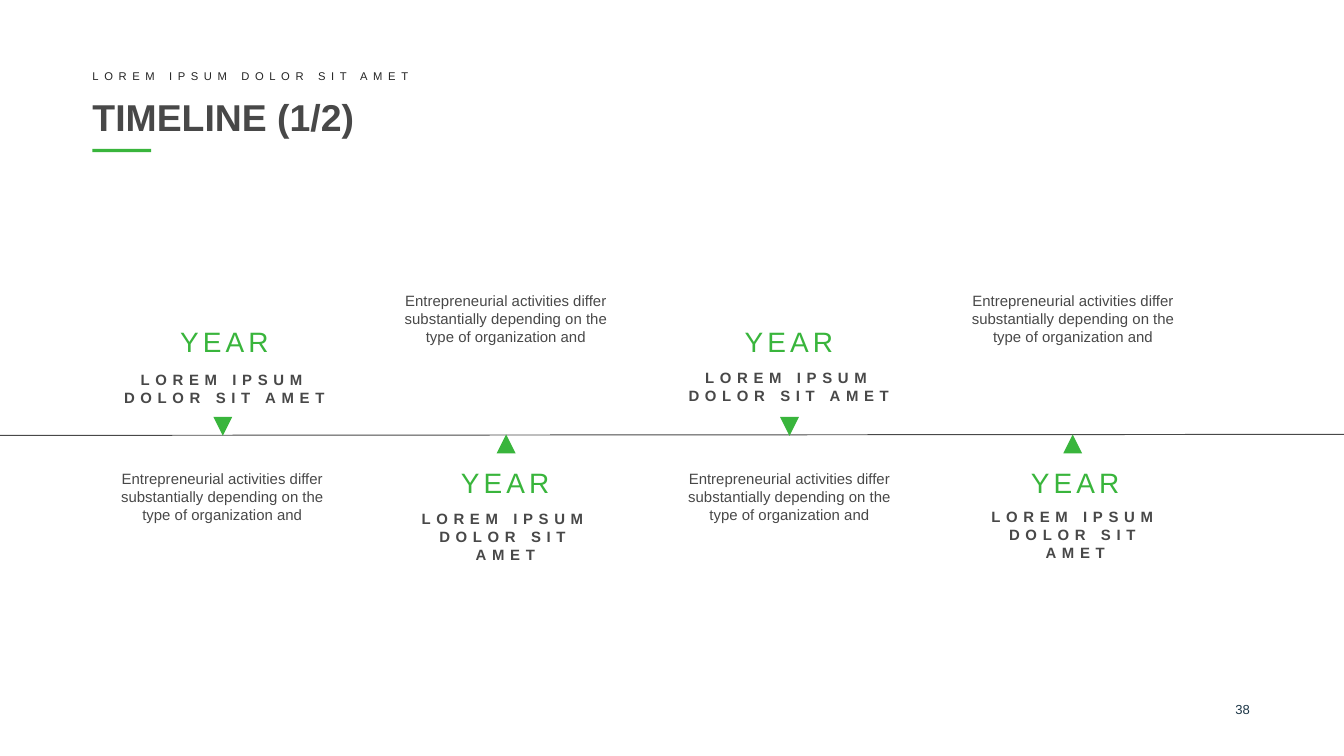
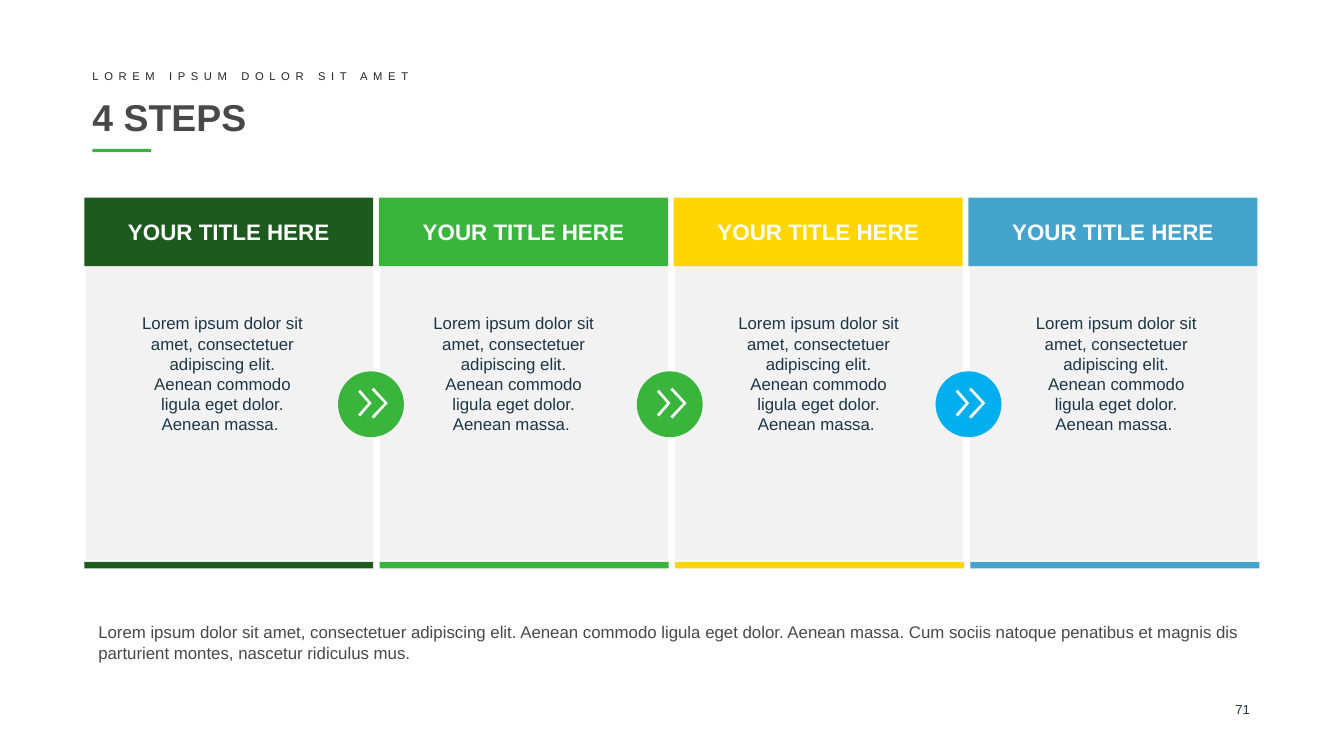
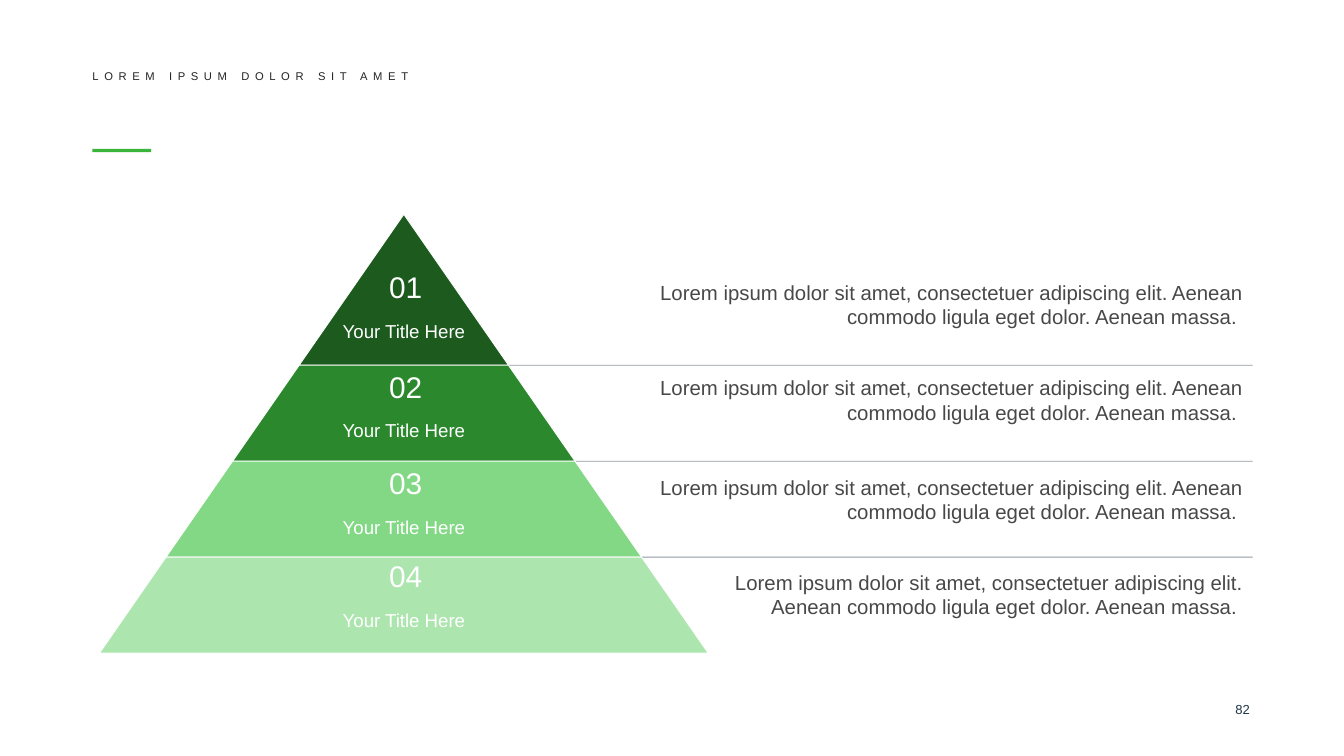
from lxml.etree import SubElement
from pptx import Presentation
from pptx.dml.color import RGBColor
from pptx.enum.shapes import MSO_CONNECTOR as CONN, MSO_SHAPE as SHAPE
from pptx.enum.text import MSO_ANCHOR as ANCHOR, MSO_AUTO_SIZE as AUTO, PP_ALIGN as ALIGN
from pptx.oxml.ns import qn
from pptx.util import Inches, Pt

# Lengths below are cells of a square grid, 100 columns across the slide.
COLUMNS, ROWS = 100, 56.25
CELL = Inches(10) / COLUMNS

FONT = "Arial"
GREY, INK, NAVY, WHITE, PANEL = "484848", "242424", "1D3647", "FFFFFF", "F2F2F2"
GREEN, DARK_GREEN, YELLOW, BLUE, SKY = "39B53C", "1C5A1E", "FFD600", "45A4CC", "01AEEE"
SHADES = [DARK_GREEN, "2B882D", "83D885", "ACE5AE"]

KICKER = "LOREM IPSUM DOLOR SIT AMET"
ACTIVITY = ("Entrepreneurial activities differ substantially depending on the "
            "type of organization and")
LOREM = ("Lorem ipsum dolor sit amet, consectetuer adipiscing elit. "
         "Aenean commodo ligula eget dolor. Aenean massa. ")
CLOSING = (LOREM + "Cum sociis natoque penatibus et magnis dis parturient montes, "
           "nascetur ridiculus mus.")


def rgb(value):
    return RGBColor.from_string(value)


def cells(*values):
    return [round(v * CELL) for v in values]


def write(tf, text, size=8, color=GREY, bold=False, align=ALIGN.LEFT,
          anchor=ANCHOR.TOP, spacing=0, insets=None, wrap=True):
    """Fill a text frame; spacing is in points, insets are (side, edge) in cells."""
    tf.word_wrap = wrap
    tf.auto_size = AUTO.NONE
    tf.vertical_anchor = anchor
    if insets is not None:
        side, edge = cells(*insets)
        tf.margin_left = tf.margin_right = side
        tf.margin_top = tf.margin_bottom = edge
    p = tf.paragraphs[0]
    p.alignment = align
    r = p.add_run()
    r.text = text
    r.font.name, r.font.size, r.font.bold = FONT, Pt(size), bold
    r.font.color.rgb = rgb(color)
    if spacing:
        r.font._element.set("spc", str(round(spacing * 100)))


class Deck:
    def __init__(self):
        self.prs = Presentation()
        self.prs.slide_width, self.prs.slide_height = cells(COLUMNS, ROWS)
        self.s = None

    def slide(self, page, title=None):
        """Start a slide with the shared kicker, title, underline and page number."""
        name = "Title Only" if title else "Blank"
        self.s = self.prs.slides.add_slide(self.prs.slide_layouts.get_by_name(name))
        self.shape(SHAPE.RECTANGLE, 6.88, 11.08, 4.36, 0.24, GREEN)
        self.text(str(page), 88.7, 52.2, 4.3, 1.6, size=7, color=NAVY, align=ALIGN.RIGHT)
        self.text(KICKER, 6.88, 5.15, 71.7, 1, size=6, color=INK, spacing=3,
                  anchor=ANCHOR.MIDDLE)
        if title:
            sp = self.s.shapes.title
            sp.left, sp.top, sp.width, sp.height = cells(6.88, 6.85, 86.2, 3.7)
            write(sp.text_frame, title, size=20, bold=True, anchor=ANCHOR.MIDDLE,
                  insets=(0, 0))

    def text(self, text, x, y, w, h, insets=(0, 0), **fmt):
        sp = self.s.shapes.add_textbox(*cells(x, y, w, h))
        write(sp.text_frame, text, insets=insets, **fmt)

    def paint(self, sp, fill, line=None):
        sp.shadow.inherit = False
        sp.fill.solid()
        sp.fill.fore_color.rgb = rgb(fill)
        if line:
            sp.line.color.rgb = rgb(line)
            sp.line.width = Pt(0.5)
        else:
            sp.line.fill.background()

    def shape(self, kind, x, y, w, h, fill, rotation=0):
        sp = self.s.shapes.add_shape(kind, *cells(x, y, w, h))
        sp.rotation = rotation
        self.paint(sp, fill)
        return sp

    def outline(self, contours, fill, line=None):
        """Draw one shape from closed contours of (column, row) points."""
        first, *others = [[tuple(cells(*pt)) for pt in c] for c in contours]
        builder = self.s.shapes.build_freeform(*first[0])
        builder.add_line_segments(first[1:])
        for points in others:
            builder.move_to(*points[0])
            builder.add_line_segments(points[1:])
        self.paint(builder.convert_to_shape(), fill, line)

    def line(self, x1, y1, x2, y2, color, alpha=100):
        cn = self.s.shapes.add_connector(CONN.STRAIGHT, *cells(x1, y1, x2, y2))
        cn.line.color.rgb = rgb(color)
        cn.line.width = Pt(0.5)
        if alpha < 100:
            clr = next(cn.element.iter(qn("a:srgbClr")))
            SubElement(clr, qn("a:alpha")).set("val", str(alpha * 1000))
        SubElement(cn.element.spPr, qn("a:effectLst"))

    def double_chevron(self, x, y):
        """Draw two right-pointing chevrons around the middle row y."""
        contours = []
        for left, tip, half in ((1.5, 2.5, 1), (2.5, 3.7, 1.15)):
            upper = [(left + 0.15, -half), (tip, 0), (left + 0.15, half)]
            inner = [(left, half - 0.15), (tip - 0.25, 0), (left, 0.15 - half)]
            contour = upper + inner
            contours.append([(x + dx, y + dy) for dx, dy in contour + contour[:1]])
        self.outline(contours, WHITE)


def timeline(deck):
    deck.slide(38, "TIMELINE (1/2)")
    deck.line(0, 32.4, COLUMNS, 32.32, GREY)
    milestones = [(16.7, 27.6), (37.6, 37.9), (58.7, 27.45), (80, 37.8)]
    for i, (center, label_top) in enumerate(milestones):
        above = i % 2 == 0
        step = 21.1 * i
        deck.shape(SHAPE.ISOSCELES_TRIANGLE, 15.88 + 21.08 * i, 31.03 if above else 32.33,
                   1.4, 1.4, GREEN, rotation=180 if above else 0)
        deck.text(ACTIVITY, 8.4 + step, 34.93 if above else 21.7, 16.3, 4,
                  align=ALIGN.CENTER)
        deck.text("YEAR", center - 3.5, 24.15 if above else 34.65, 7, 2.5, size=15,
                  color=GREEN, spacing=2.2, align=ALIGN.CENTER, wrap=False)
        width, height = (15.4, 2.3) if above else (13.8, 4)
        deck.text(KICKER, center - width / 2, label_top, width, height, bold=True,
                  spacing=3, align=ALIGN.CENTER)


def four_steps(deck):
    deck.slide(71, "4 STEPS")
    steps = [(DARK_GREEN, 9.4), (GREEN, 31.07), (YELLOW, 53.76), (BLUE, 75.9)]
    for i, (color, text_left) in enumerate(steps):
        left = 6.27 + 21.93 * i
        deck.shape(SHAPE.RECTANGLE, left + 0.1, 19.6, 21.4, 22.1, PANEL)
        head = deck.shape(SHAPE.RECTANGLE, left, 14.7, 21.5, 5.1, color)
        write(head.text_frame, "YOUR TITLE HERE", size=12, color=WHITE, bold=True,
              align=ALIGN.CENTER, anchor=ANCHOR.MIDDLE)
        deck.shape(SHAPE.RECTANGLE, 6.27 + 21.98 * i, 41.8, 21.5, 0.5, color)
        deck.text(LOREM, text_left, 22.8, 14.3, 10.1, insets=(1, 0.5), size=9,
                  color=NAVY, align=ALIGN.CENTER)
    for i, color in enumerate([GREEN, GREEN, SKY]):
        left = 25.15 + 22.23 * i
        deck.shape(SHAPE.OVAL, left, 27.63, 4.9, 4.9, color)
        deck.double_chevron(left, 30)
    deck.text(CLOSING, 6.33, 45.8, 87.4, 4, insets=(1, 0.5), size=9)


def pyramid(deck):
    deck.slide(82)
    apex_x, apex_y, base_y, half_base = 30.05, 15.95, 48.6, 22.65
    slope = half_base / (base_y - apex_y)
    bottoms = [base_y - 7.14 * i for i in (3, 2, 1, 0)]
    for y in bottoms[:-1]:
        deck.line(29.4, y, 93.2, y, NAVY, alpha=50)
    for top, bottom, shade in zip([apex_y] + bottoms, bottoms, SHADES):
        a, b = (slope * (y - apex_y) for y in (top, bottom))
        corners = [(apex_x - b, bottom), (apex_x - a, top),
                   (apex_x + a, top), (apex_x + b, bottom)]
        deck.outline([corners + corners[:1]], shade, WHITE)
    levels = [(19.5, 20.45, 44.1), (26.93, 27.55, 44.1), (34.1, 34.93, 44.1),
              (41, 42, 53.8)]
    for i, (number_top, note_top, note_left) in enumerate(levels, 1):
        deck.text(LOREM, note_left, note_top, 93.15 - note_left, 4.4, insets=(0.7, 0.4),
                  size=10.9, align=ALIGN.RIGHT)
        deck.text(f"{i:02}", 27.33, number_top, 5.7, 3.7, insets=(1, 0.5), size=16,
                  color=WHITE, align=ALIGN.CENTER)
        deck.text("Your Title Here", 22.25, number_top + 3.87, 15.6, 2.4,
                  insets=(0.7, 0.4), size=10, color=WHITE, align=ALIGN.CENTER)


def main():
    deck = Deck()
    timeline(deck)
    four_steps(deck)
    pyramid(deck)
    deck.prs.save("out.pptx")


if __name__ == "__main__":
    main()
